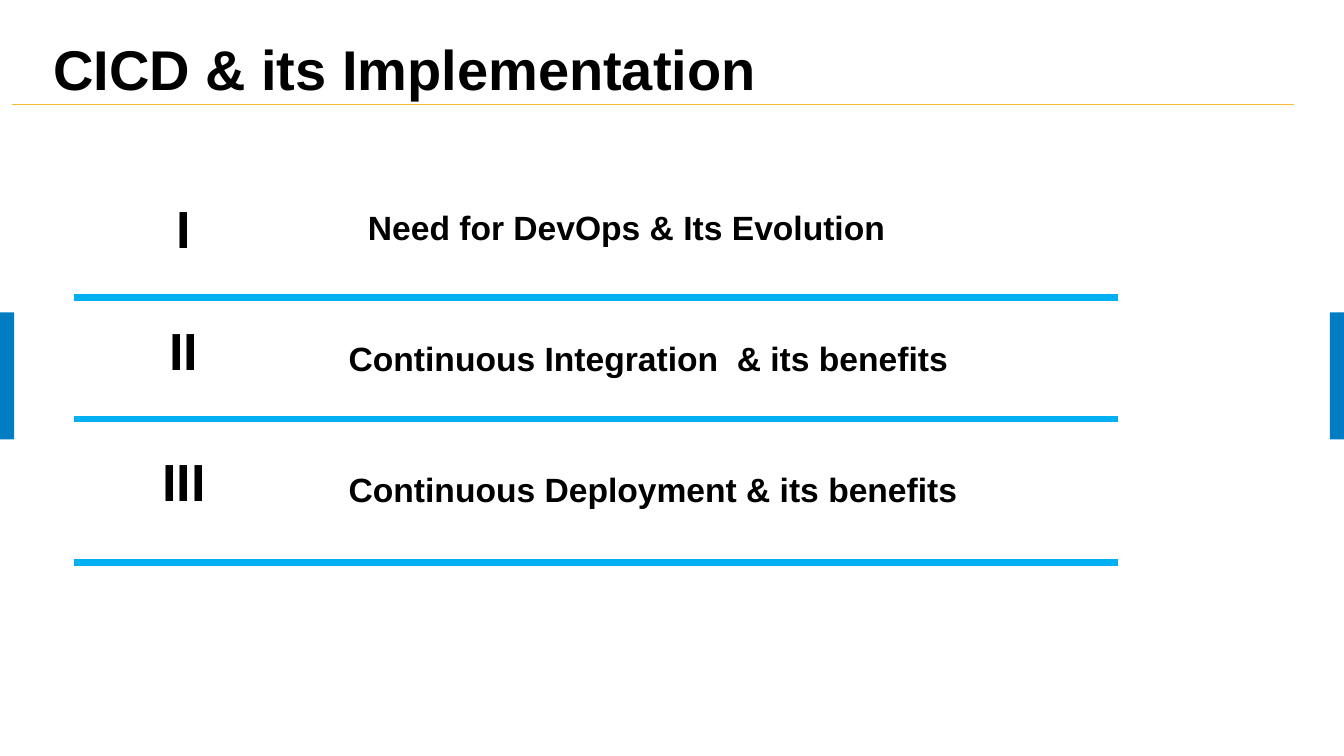
import pptx
import pptx.dml.color
import pptx.enum.shapes
import pptx.enum.text
import pptx.oxml.ns
import pptx.util
from lxml import etree
from pptx.util import Inches

RGBColor = pptx.dml.color.RGBColor
BLACK = RGBColor(0x00, 0x00, 0x00)
SIDE_BLUE = RGBColor(0x00, 0x7C, 0xC3)
RULE_BLUE = RGBColor(0x00, 0xB0, 0xF0)
GOLD = RGBColor(0xF4, 0xBC, 0x31)

ALIGN = pptx.enum.text.PP_ALIGN
ANCHOR = pptx.enum.text.MSO_ANCHOR


class Painter:
    """Holds the text style and the current page."""

    font_name = "Arial"

    def __init__(self, page):
        self.page = page

    def bar(self, left, top, width, height, color):
        kind = pptx.enum.shapes.MSO_SHAPE.RECTANGLE
        shape = self.page.shapes.add_shape(
            kind, Inches(left), Inches(top), Inches(width), Inches(height))
        shape.shadow.inherit = False
        shape.fill.solid()
        shape.fill.fore_color.rgb = color
        shape.line.fill.background()

    def rule(self, left, right, top, color, weight):
        kind = pptx.enum.shapes.MSO_CONNECTOR.STRAIGHT
        line = self.page.shapes.add_connector(
            kind, Inches(left), Inches(top), Inches(right), Inches(top))
        line.line.color.rgb = color
        line.line.width = pptx.util.Pt(weight)
        properties = line.element.find(pptx.oxml.ns.qn("p:spPr"))
        etree.SubElement(properties, pptx.oxml.ns.qn("a:effectLst"))

    def text(self, words, left, top, width, height, size,
             align=ALIGN.LEFT, anchor=ANCHOR.MIDDLE, after=8, spacing=1.0):
        box = self.page.shapes.add_textbox(
            Inches(left), Inches(top), Inches(width), Inches(height))
        frame = box.text_frame
        frame.word_wrap = True
        frame.vertical_anchor = anchor
        para = frame.paragraphs[0]
        para.text = words
        para.alignment = align
        para.space_after = pptx.util.Pt(after)
        para.line_spacing = spacing
        para.font.name = self.font_name
        para.font.size = pptx.util.Pt(size)
        para.font.bold = True
        para.font.color.rgb = BLACK


def main():
    deck = pptx.Presentation()
    deck.slide_width = Inches(13.33)
    deck.slide_height = Inches(7.5)
    painter = Painter(deck.slides.add_slide(deck.slide_layouts[6]))

    # Side bars
    for left in (0, 13.19):
        painter.bar(left, 3.1, 0.14, 1.26, SIDE_BLUE)

    # Title and its underline
    painter.rule(0.12, 12.83, 1.04, GOLD, 0.5)
    painter.text("CICD & its Implementation", 0.43, 0.37, 12.33, 0.66, 40,
                 anchor=ANCHOR.TOP, after=0, spacing=0.9)

    # Agenda: numeral, numeral top, topic, topic left and top, rule below
    agenda = [
        ("I", 2.04, "Need for DevOps & Its Evolution", 3.55, 1.97, 2.95),
        ("II", 3.25, "Continuous Integration  & its benefits", 3.36, 3.27, 4.16),
        ("III", 4.55, "Continuous Deployment & its benefits", 3.36, 4.57, 5.58),
    ]
    for numeral, numeral_top, topic, topic_left, topic_top, rule_top in agenda:
        painter.text(numeral, 0.34, numeral_top, 2.97, 0.43, 37.3,
                     align=ALIGN.CENTER)
        painter.text(topic, topic_left, topic_top, 7.85, 0.56, 24)
        painter.rule(0.73, 11.09, rule_top, RULE_BLUE, 4.5)

    deck.save("out.pptx")


if __name__ == "__main__":
    main()
